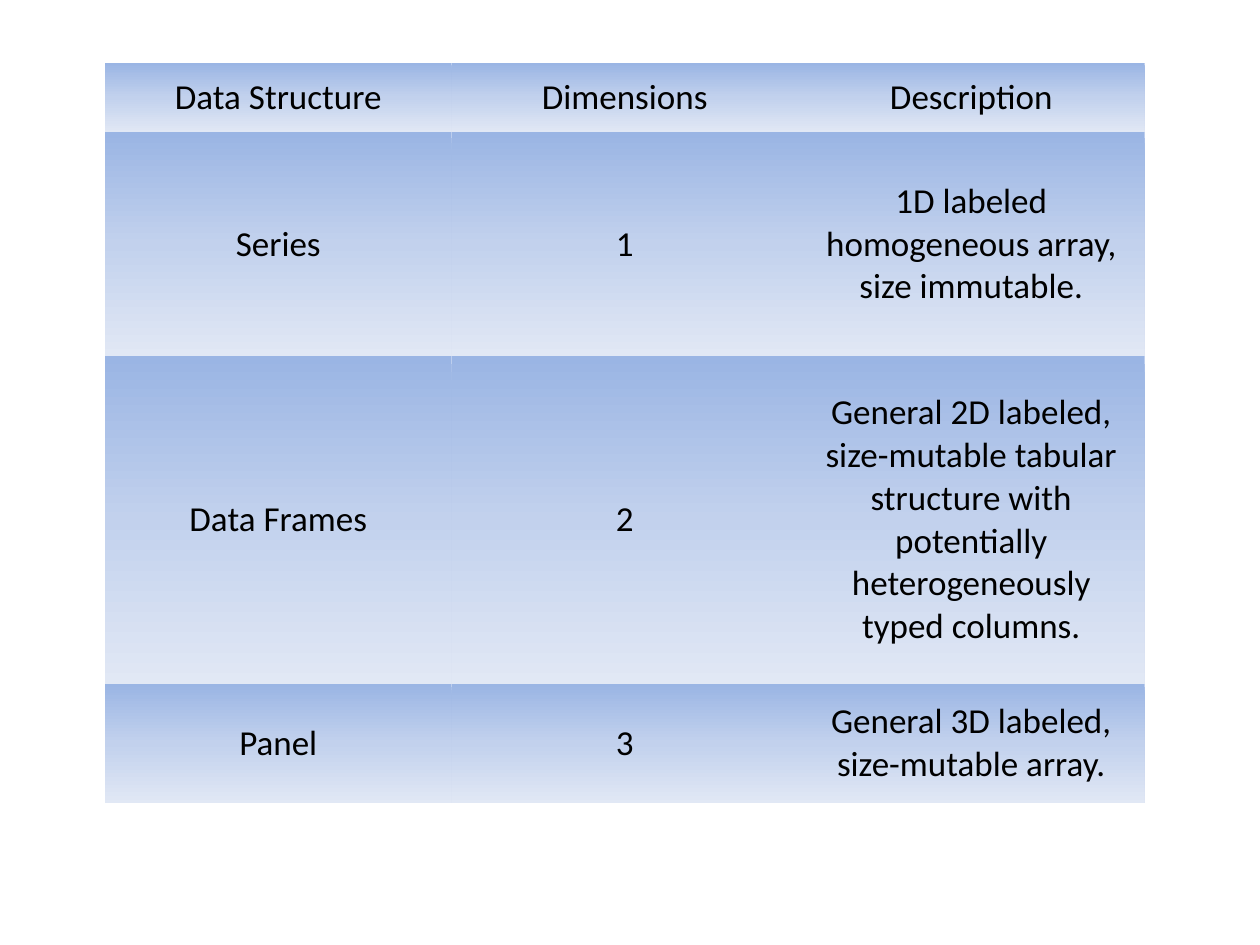
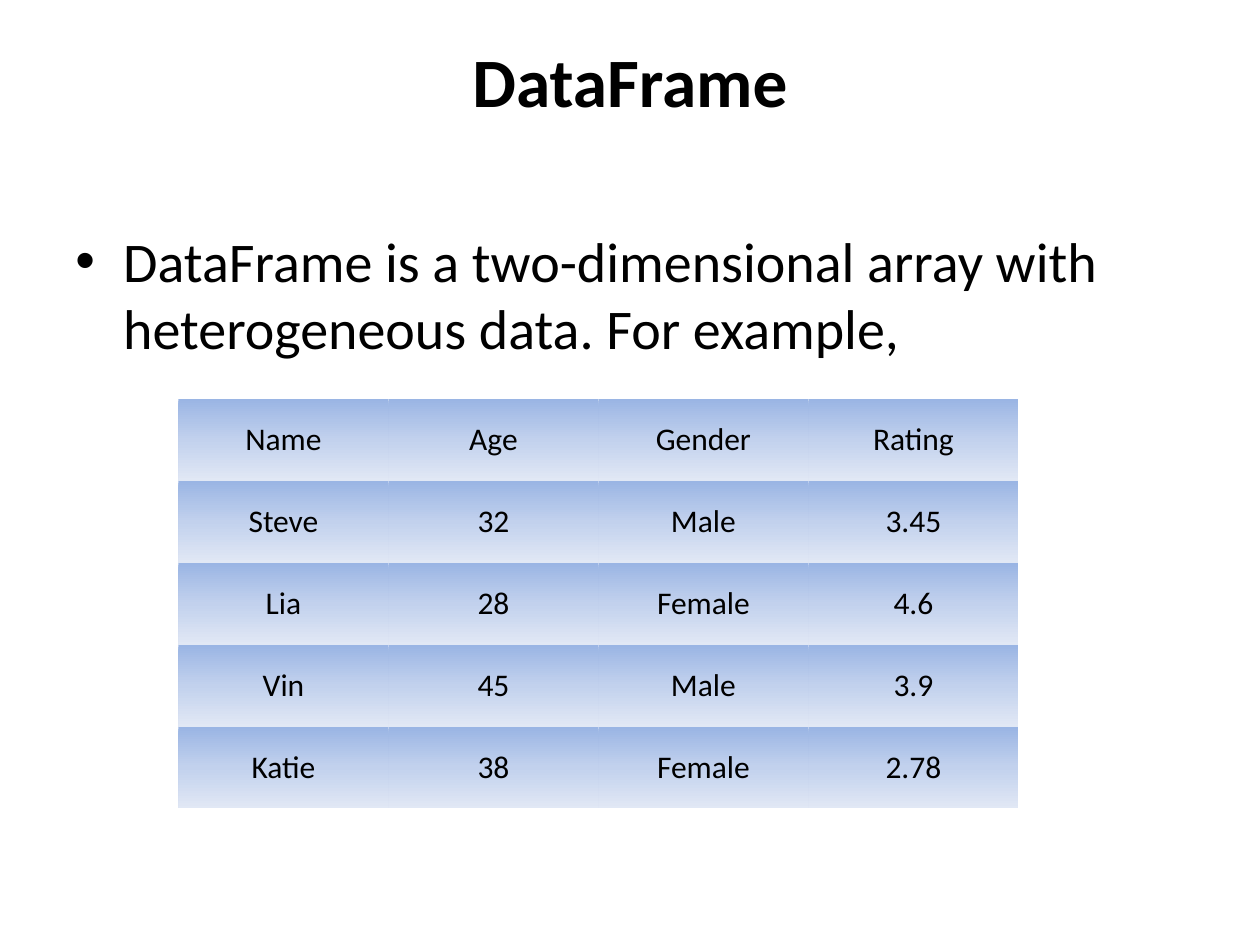
from copy import deepcopy

from pptx import Presentation, util as u
from pptx.dml.color import RGBColor
from pptx.enum import text as t
from pptx.oxml import ns, parse_xml

# Shared style
BLACK = RGBColor(0x00, 0x00, 0x00)
CELL_GRADIENT = (
    (0, RGBColor(0x9A, 0xB5, 0xE4)),
    (0.5, RGBColor(0xC2, 0xD1, 0xED)),
    (1, RGBColor(0xE1, 0xE8, 0xF5)),
)
FONT = "Calibri"
NO_GRID_STYLE = "{2D5ABB26-0587-4C30-8999-92F81FD0307C}"
TITLE_ONLY, BLANK = 5, 6
UNIT = u.Inches(1) / 12  # the slide is a grid of 120 columns and 90 rows


def grid(*steps):
    return [u.Emu(round(step * UNIT)) for step in steps]


def write(frame, words, size, bold=False, align=t.PP_ALIGN.CENTER):
    frame.word_wrap = True
    paragraph = frame.paragraphs[0]
    paragraph.alignment = align
    run = paragraph.add_run()
    run.text = words
    font = run.font
    font.name, font.size, font.bold = FONT, u.Pt(size), bold
    font.color.rgb = BLACK
    return paragraph


class Deck:
    def __init__(self):
        self.prs = Presentation()
        self.prs.slide_width, self.prs.slide_height = grid(120, 90)
        self.slide = None

    def new_slide(self, layout):
        self.slide = self.prs.slides.add_slide(self.prs.slide_layouts[layout])

    def title(self, words):
        heading = self.slide.shapes.title
        heading.left, heading.top, heading.width, heading.height = grid(6, 3.6, 108, 15)
        frame = heading.text_frame
        frame.vertical_anchor = t.MSO_ANCHOR.TOP
        frame.margin_top = 0
        write(frame, words, 39.6, bold=True)

    def bullet(self, words, left, top, width, height):
        box = self.slide.shapes.add_textbox(*grid(left, top, width, height))
        paragraph = write(box.text_frame, words, 32, align=t.PP_ALIGN.LEFT)
        props = paragraph._p.get_or_add_pPr()
        indent = u.Inches(0.38)
        props.set("marL", str(indent))
        props.set("indent", str(-indent))
        for mark in ('buFont typeface="Arial"', 'buChar char="•"'):
            props.append(parse_xml(f"<a:{mark} {ns.nsdecls('a')}/>"))

    def table(self, records, left, top, width, row_heights, size):
        count = len(records[0])
        frame = self.slide.shapes.add_table(
            len(records), count, *grid(left, top, width, sum(row_heights)))
        table = frame.table
        table.first_row = table.horz_banding = False
        table._tbl.tblPr.find(ns.qn("a:tableStyleId")).text = NO_GRID_STYLE
        for column in table.columns:
            column.width = grid(width / count)[0]
        for row, height, record in zip(table.rows, row_heights, records):
            row.height = grid(height)[0]
            for cell, words in zip(row.cells, record):
                cell.vertical_anchor = t.MSO_ANCHOR.MIDDLE
                write(cell.text_frame, words, size)
                self.shade(cell)

    def shade(self, cell):
        fill = cell.fill
        fill.gradient()
        fill.gradient_angle = 270
        # A new gradient has two stops; add the middle one
        stops = cell._tc.tcPr.find(".//" + ns.qn("a:gsLst"))
        stops.insert(1, deepcopy(stops[0]))
        for stop, (position, colour) in zip(fill.gradient_stops, CELL_GRADIENT):
            stop.position = position
            stop.color.rgb = colour


def main():
    deck = Deck()

    # Data structures overview
    deck.new_slide(BLANK)
    structures = [
        ("Data Structure", "Dimensions", "Description"),
        ("Series", "1", "1D labeled homogeneous array, size immutable."),
        ("Data Frames", "2", "General 2D labeled, size-mutable tabular structure "
                             "with potentially heterogeneously typed columns."),
        ("Panel", "3", "General 3D labeled, size-mutable array."),
    ]
    deck.table(structures, 10, 6, 99, (6.6, 21.3, 31.2, 11.4), size=20)

    # DataFrame example
    deck.new_slide(TITLE_ONLY)
    deck.title("DataFrame")
    deck.bullet("DataFrame is a two-dimensional array with heterogeneous data. "
                "For example,", 6, 21, 108, 59.4)
    people = [
        ("Name", "Age", "Gender", "Rating"),
        ("Steve", "32", "Male", "3.45"),
        ("Lia", "28", "Female", "4.6"),
        ("Vin", "45", "Male", "3.9"),
        ("Katie", "38", "Female", "2.78"),
    ]
    deck.table(people, 17, 38, 80, [7.8] * len(people), size=18)

    deck.prs.save("out.pptx")


if __name__ == "__main__":
    main()
